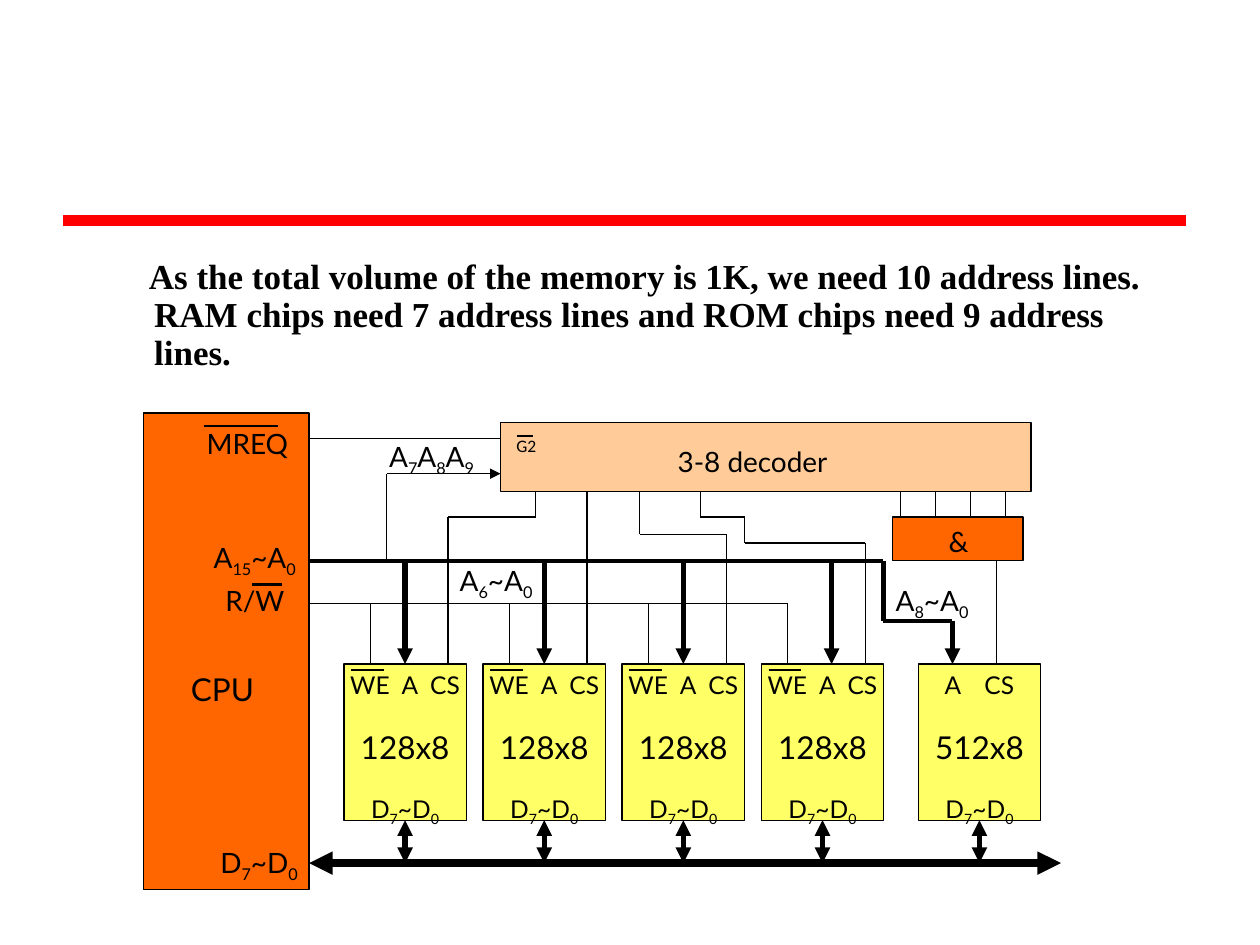
from itertools import pairwise

from lxml.etree import SubElement
from pptx import Presentation
from pptx.dml.color import RGBColor
from pptx.enum.shapes import MSO_CONNECTOR, MSO_SHAPE
from pptx.enum.text import PP_ALIGN
from pptx.oxml.ns import qn
from pptx.util import Pt

COLORS = {
    "ink": "000000",
    "rule": "FF0000",
    "cpu": "FF6600",
    "decoder": "FFCC99",
    "chip": "FFFF66",
}
DIAGRAM_FONT = "Lato"
DATA_LABEL = "D_7_~D_0"

CHIP_TOP, CHIP_WIDTH, CHIP_HEIGHT = 379.5, 70, 89.2
RAM_LEFTS = [196.5 + 79.5 * i for i in range(4)]
ROM_LEFT = 524.7
CPU_RIGHT = 176.6
DECODER_LEFT, DECODER_BOTTOM = 286, 281
GATE_TOP, GATE_BOTTOM = 295.4, 320.2
ADDRESS_Y, WRITE_Y, DATA_Y = 320.4, 345, 493.2
ROM_BUS_X, ROM_BUS_Y, ROM_ADDRESS_X = 504.7, 355, 544.3


def color(name):
    return RGBColor.from_string(COLORS[name])


def add_box(slide, left, top, width, height, fill):
    shape = slide.shapes.add_shape(
        MSO_SHAPE.RECTANGLE, Pt(left), Pt(top), Pt(width), Pt(height))
    shape.shadow.inherit = False
    shape.fill.solid()
    shape.fill.fore_color.rgb = color(fill)
    shape.line.color.rgb = color("ink")
    shape.line.width = Pt(0.75)
    return shape


def add_label(slide, text, left, top, width, height, size=16, font=DIAGRAM_FONT,
              align=PP_ALIGN.LEFT, inset=None, gap=0):
    """Add text; parts between underscores are subscripts, gap widens its spaces."""
    box = slide.shapes.add_textbox(Pt(left), Pt(top), Pt(width), Pt(height))
    frame = box.text_frame
    frame.word_wrap = True
    if inset is not None:
        frame.margin_left = frame.margin_right = Pt(inset)
        frame.margin_top = frame.margin_bottom = Pt(inset)
    paragraph = frame.paragraphs[0]
    paragraph.alignment = align
    paragraph.font.size = Pt(size)
    paragraph.font.name = font
    paragraph.font.color.rgb = color("ink")
    parts = text.replace(" ", "| |").split("|") if gap else text.split("_")
    for index, part in enumerate(parts):
        run = paragraph.add_run()
        run.text = part
        if index % 2:
            name, value = ("spc", gap * 100) if gap else ("baseline", -25000)
            run._r.get_or_add_rPr().set(name, str(int(value)))
    return paragraph


def add_line(slide, start, end, width=0.75, head=False, tail=False, stroke="ink"):
    line = slide.shapes.add_connector(
        MSO_CONNECTOR.STRAIGHT, *(Pt(value) for value in (*start, *end)))
    line.line.color.rgb = color(stroke)
    line.line.width = Pt(width)
    outline = line.line._get_or_add_ln()
    for tag, wanted in (("a:headEnd", head), ("a:tailEnd", tail)):
        if wanted:
            SubElement(outline, qn(tag), type="triangle")
    SubElement(line._element.spPr, qn("a:effectLst"))
    return line


def add_wire(slide, *points, width=0.75):
    for start, end in pairwise(points):
        add_line(slide, start, end, width)


def add_chip(slide, left, size, pins, gap):
    """Add a memory chip with its labels and its link to the data bus."""
    chip = add_box(slide, left, CHIP_TOP, CHIP_WIDTH, CHIP_HEIGHT, "chip")
    add_label(slide, size, left, 412.5, CHIP_WIDTH, 25, 18, align=PP_ALIGN.CENTER)
    add_label(slide, pins, left - 4, CHIP_TOP, CHIP_WIDTH + 8, 24, 14,
              align=PP_ALIGN.CENTER, gap=gap)
    add_label(slide, DATA_LABEL, left, 450, CHIP_WIDTH, 21, 14, align=PP_ALIGN.CENTER)
    middle = left + CHIP_WIDTH / 2
    link = add_line(slide, (middle, CHIP_TOP + CHIP_HEIGHT), (middle, DATA_Y), 3,
                    head=True, tail=True)
    link.begin_connect(chip, 2)
    return chip


def add_heading(slide):
    add_line(slide, (36, 126), (678, 126), 6, stroke="rule")
    paragraph = add_label(
        slide,
        "As the total volume of the memory is 1K, we need 10 address lines. "
        "RAM chips need 7 address lines and ROM chips need 9 address lines.",
        54, 144.7, 612, 137, 20, "Times New Roman")
    paragraph.font.bold = True
    paragraph.line_spacing = 0.9
    properties = paragraph._p.get_or_add_pPr()
    properties.set("marL", str(Pt(27)))
    properties.set("indent", str(Pt(-3)))


def add_cpu(slide):
    add_box(slide, 82, 236, CPU_RIGHT - 82, 272.2, "cpu")
    add_label(slide, "CPU", 102, 379.5, 84, 32, 18)
    for text, left, top in (("MREQ", 111, 240), ("A_15_~A_0", 115, 305.3),
                            ("R/W", 121.7, 329.8), (DATA_LABEL, 118.8, 479.5)):
        add_label(slide, text, left, top, 84, 25)
    add_line(slide, (116.6, 243.4), (159.1, 243.4), 1.5)
    add_line(slide, (144, 334), (161.3, 334), 1.5)


def add_decoder(slide):
    add_box(slide, DECODER_LEFT, 241.3, 303.2, DECODER_BOTTOM - 241.3, "decoder")
    add_label(slide, "3-8 decoder", 380.2, 250.6, 130, 26)
    add_label(slide, "G2", 288.7, 247.7, 24, 21, 10, "Calibri", PP_ALIGN.CENTER, 0.7)
    add_line(slide, (295.2, 249.1), (304.6, 249.1), 1)
    add_line(slide, (CPU_RIGHT, 250.6), (DECODER_LEFT, 250.6))
    add_line(slide, (221, ADDRESS_Y), (221, 270.7))
    add_line(slide, (221, 270.7), (DECODER_LEFT, 270.7), tail=True)
    add_label(slide, "A_7_A_8_A_9", 215.3, 247.7, 70.6, 26)


def add_rom_select(slide):
    for index in range(4):
        x = 514.6 + 20 * index
        add_line(slide, (x, DECODER_BOTTOM), (x, GATE_TOP))
    add_box(slide, 510, GATE_TOP, 74.6, GATE_BOTTOM - GATE_TOP, "cpu")
    add_label(slide, "&", 535, 296, 30, 23)
    add_line(slide, (569.5, CHIP_TOP), (569.5, GATE_BOTTOM))


def add_ram_chips(slide):
    for left, address_x in zip(RAM_LEFTS, (None, None, None, 475.2)):
        chip = add_chip(slide, left, "128x8", "WE A CS", 3.2)
        address_x = address_x or left + CHIP_WIDTH / 2
        address = add_line(slide, (address_x, ADDRESS_Y), (address_x, CHIP_TOP), 3,
                           tail=True)
        if address_x == left + CHIP_WIDTH / 2:
            address.end_connect(chip, 0)
        add_line(slide, (left + 15.2, CHIP_TOP), (left + 15.2, WRITE_Y))
        add_line(slide, (left + 4.2, 382.8), (left + 23, 382.8), 1.5)

    select_bends = (
        [(306, 295.4)],
        [],
        [(365.6, 305.3)],
        [(400.3, 295.4), (425.5, 295.4), (425.5, 310.3)],
    )
    outputs = (306, 335.8, 365.6, 400.3)
    for left, output, bends in zip(RAM_LEFTS, outputs, select_bends):
        pin = left + 59.5
        corner = [(pin, bends[-1][1])] if bends else []
        start = output if bends else pin
        add_wire(slide, (start, DECODER_BOTTOM), *bends, *corner, (pin, CHIP_TOP))


def add_buses(slide):
    add_line(slide, (CPU_RIGHT, WRITE_Y), (RAM_LEFTS[-1] + 15.2, WRITE_Y))
    add_line(slide, (CPU_RIGHT, DATA_Y), (606.3, DATA_Y), 4.5, head=True, tail=True)
    add_line(slide, (CPU_RIGHT, ADDRESS_Y), (ROM_BUS_X, ADDRESS_Y), 2.25)
    add_line(slide, (ROM_BUS_X, ADDRESS_Y), (ROM_BUS_X, ROM_BUS_Y), 3)
    add_line(slide, (ROM_BUS_X, ROM_BUS_Y), (ROM_ADDRESS_X, ROM_BUS_Y), 2.25)
    add_line(slide, (ROM_ADDRESS_X, ROM_BUS_Y), (ROM_ADDRESS_X, CHIP_TOP), 3, tail=True)
    add_label(slide, "A_6_~A_0", 255.6, 318.3, 84, 23)
    add_label(slide, "A_8_~A_0", 504.7, 329.8, 62, 26)


def main():
    presentation = Presentation()
    presentation.slide_width, presentation.slide_height = Pt(720), Pt(540)
    slide = presentation.slides.add_slide(presentation.slide_layouts[6])
    add_heading(slide)
    add_cpu(slide)
    add_decoder(slide)
    add_ram_chips(slide)
    add_chip(slide, ROM_LEFT, "512x8", "A CS", 9.6)
    add_rom_select(slide)
    add_buses(slide)
    presentation.save("out.pptx")


if __name__ == "__main__":
    main()
